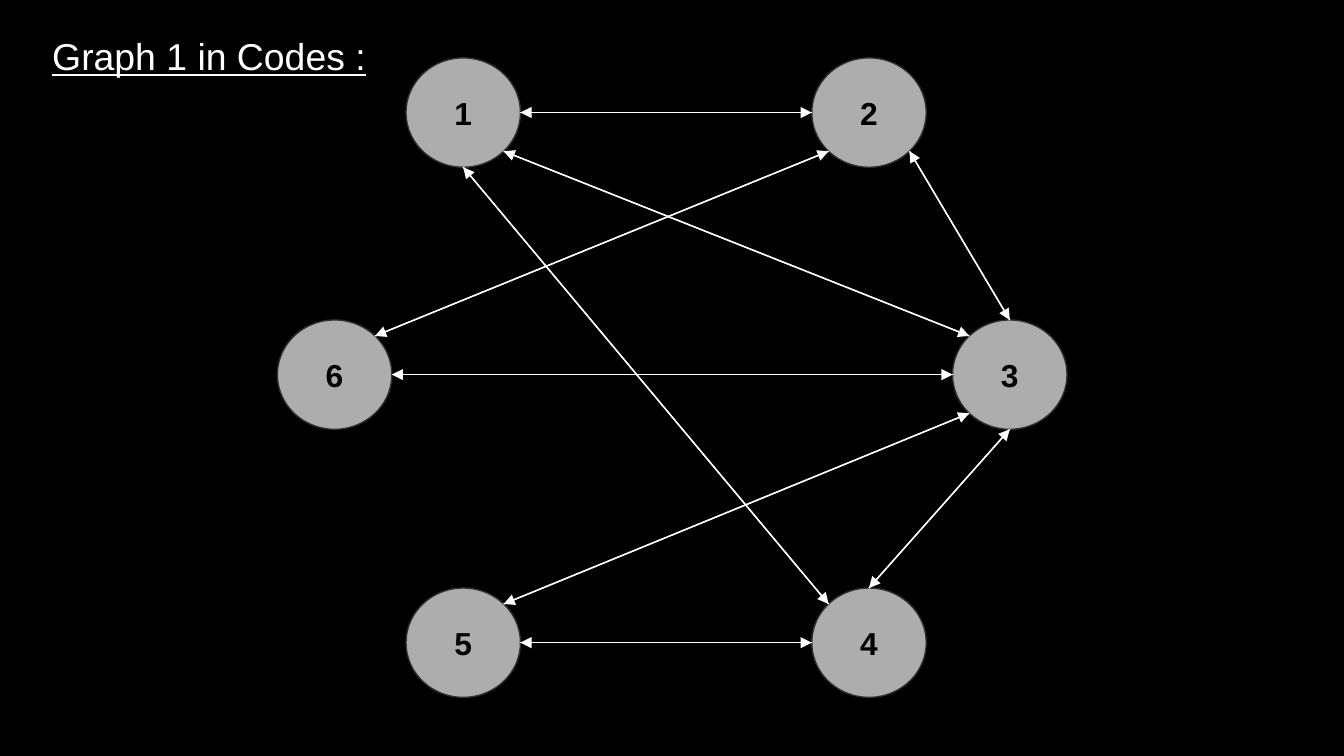
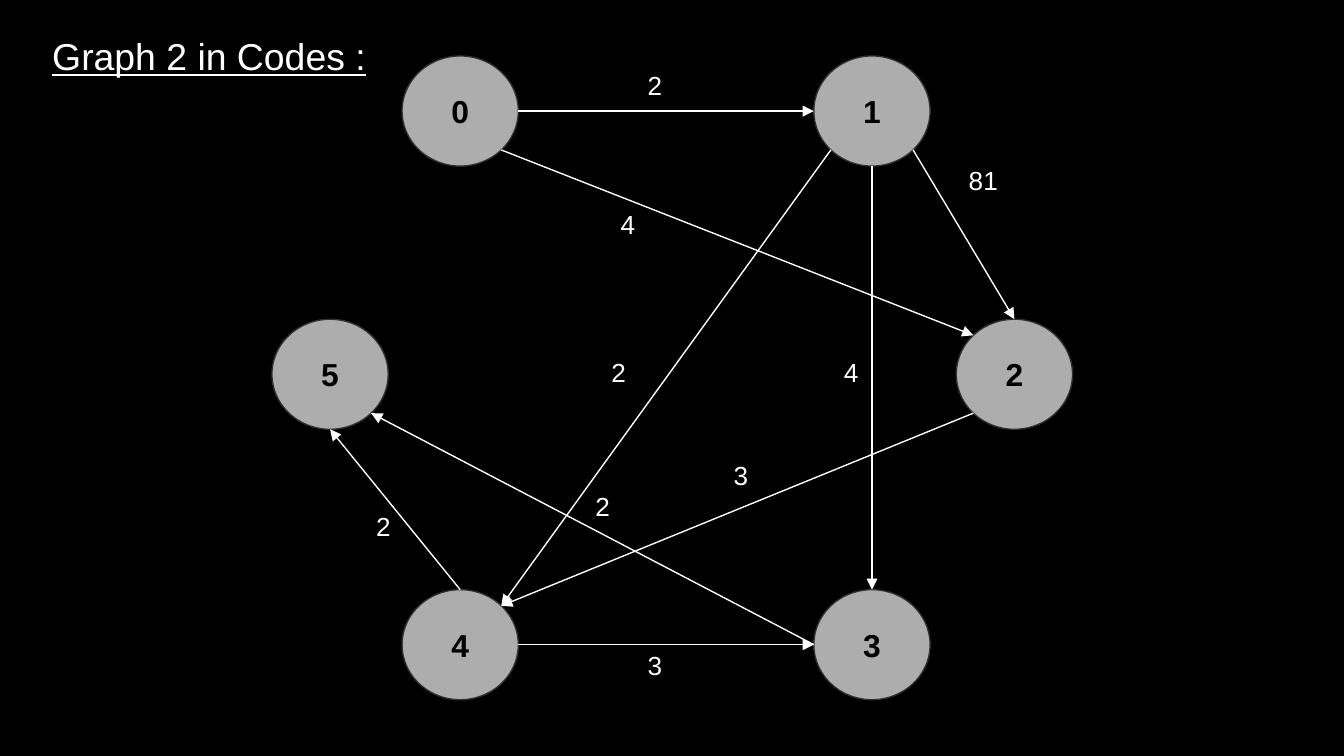
"""Build two slides that show graphs as nodes joined by arrows."""
from dataclasses import dataclass
from math import sqrt

from lxml import etree
from pptx import Presentation
from pptx.dml.color import RGBColor
from pptx.enum.shapes import MSO_CONNECTOR, MSO_SHAPE
from pptx.enum.text import MSO_ANCHOR, PP_ALIGN
from pptx.oxml.ns import qn
from pptx.util import Pt

BLACK = RGBColor(0x00, 0x00, 0x00)
WHITE = RGBColor(0xFF, 0xFF, 0xFF)
NODE_FILL = RGBColor(0xAD, 0xAD, 0xAD)
NODE_LINE = RGBColor(0x30, 0x30, 0x30)

OVAL = MSO_SHAPE.OVAL
STRAIGHT = MSO_CONNECTOR.STRAIGHT
MIDDLE = MSO_ANCHOR.MIDDLE
CENTER = PP_ALIGN.CENTER

FONT = "Arial"
LINE_WIDTH = 0.75
INSET = 7.2
TITLE_BOX = (20.9, 10.8, 270, 79.2)
LABEL_HEIGHT = 34.6

NEAR = 0.5 - sqrt(2) / 4
FAR = 1 - NEAR
SITES = {
    "N": (0.5, 0), "S": (0.5, 1), "W": (0, 0.5), "E": (1, 0.5),
    "NW": (NEAR, NEAR), "NE": (FAR, NEAR), "SW": (NEAR, FAR), "SE": (FAR, FAR),
}


@dataclass
class Graph:
    """A graph whose columns, rows and weights are offsets from its origin."""
    title: str
    origin: tuple
    node_size: tuple
    columns: tuple
    rows: tuple
    nodes: dict
    edges: list
    weights: list
    two_way: bool


FIRST_GRAPH = Graph(
    title="Graph 1 in Codes :",
    origin=(148.6, 31),
    node_size=(61.3, 58.6),
    columns=(0, 68.9, 286.3, 361.7),
    rows=(0, 140.4, 284),
    nodes={"1": (1, 0), "2": (2, 0), "3": (3, 1),
           "4": (2, 2), "5": (1, 2), "6": (0, 1)},
    edges=[
        ("1", "E", "2", "W"), ("1", "SE", "3", "NW"), ("1", "S", "4", "NW"),
        ("2", "SW", "6", "NE"), ("2", "SE", "3", "N"), ("3", "W", "6", "E"),
        ("3", "SW", "5", "NE"), ("3", "S", "4", "N"), ("4", "W", "5", "E"),
    ],
    weights=[],
    two_way=True,
)

SECOND_GRAPH = Graph(
    title="Graph 2 in Codes :",
    origin=(145.7, 30),
    node_size=(62.3, 59),
    columns=(0, 69.7, 290.3, 366.6),
    rows=(0, 141, 285.9),
    nodes={"0": (1, 0), "1": (2, 0), "2": (3, 1),
           "3": (2, 2), "4": (1, 2), "5": (0, 1)},
    edges=[
        ("0", "E", "1", "W"), ("0", "SE", "2", "NW"), ("1", "SE", "2", "N"),
        ("2", "SW", "4", "NE"), ("1", "S", "3", "N"), ("1", "SW", "4", "NE"),
        ("3", "W", "5", "SE"), ("4", "N", "5", "S"), ("4", "E", "3", "W"),
    ],
    weights=[
        ("2", 194.1, 0.2, 34.6), ("4", 179.7, 74.4, 34.6),
        ("81", 366.2, 50.6, 62.6), ("2", 174.7, 153.6, 34.6),
        ("4", 299.3, 153.6, 34.6), ("3", 240.2, 209, 34.6),
        ("2", 166.1, 225.6, 34.6), ("2", 48.7, 236.4, 34.6),
        ("3", 194.1, 310.6, 34.6),
    ],
    two_way=False,
)


def write_text(shape, text, size, color, bold=False, underline=False):
    """Write one styled run into a shape and return its paragraph."""
    frame = shape.text_frame
    frame.word_wrap = True
    frame.margin_left = frame.margin_right = Pt(INSET)
    frame.margin_top = frame.margin_bottom = Pt(INSET)
    para = frame.paragraphs[0]
    span = para.add_run()
    span.text = text
    span.font.name = FONT
    span.font.size = Pt(size)
    span.font.color.rgb = color
    span.font.bold = bold
    span.font.underline = underline
    return para


def add_label(page, box, text, size, underline=False):
    """Add white text in a box given as left, top, width and height."""
    label = page.shapes.add_textbox(*map(Pt, box))
    write_text(label, text, size, WHITE, underline=underline)


def add_node(page, box, name):
    """Add a grey oval with a bold name."""
    node = page.shapes.add_shape(OVAL, *map(Pt, box))
    node.shadow.inherit = False
    node.fill.solid()
    node.fill.fore_color.rgb = NODE_FILL
    node.line.color.rgb = NODE_LINE
    node.line.width = Pt(LINE_WIDTH)
    node.text_frame.vertical_anchor = MIDDLE
    write_text(node, name, 17, BLACK, bold=True).alignment = CENTER


def site_point(box, site):
    """Return the point on an oval's outline for a compass direction."""
    left, top, width, height = box
    across, down = SITES[site]
    return Pt(left + across * width), Pt(top + down * height)


def add_arrow(page, start, end):
    """Add a white line with an arrowhead at its end."""
    arrow = page.shapes.add_connector(STRAIGHT, *start, *end)
    arrow.line.color.rgb = WHITE
    arrow.line.width = Pt(LINE_WIDTH)
    head = etree.SubElement(arrow.line._get_or_add_ln(), qn("a:tailEnd"))
    head.set("type", "triangle")
    etree.SubElement(arrow._element.spPr, qn("a:effectLst"))


def add_diagram(page, graph):
    """Place nodes, arrows and weights relative to the graph's origin."""
    left, top = graph.origin
    boxes = {
        name: (left + graph.columns[column], top + graph.rows[row], *graph.node_size)
        for name, (column, row) in graph.nodes.items()
    }
    for name, box in boxes.items():
        add_node(page, box, name)
    for source, source_site, target, target_site in graph.edges:
        start = site_point(boxes[source], source_site)
        end = site_point(boxes[target], target_site)
        add_arrow(page, start, end)
        if graph.two_way:
            add_arrow(page, end, start)
    for text, x, y, width in graph.weights:
        add_label(page, (left + x, top + y, width, LABEL_HEIGHT), text, 14)


def add_graph_page(deck, graph):
    """Add a black slide with a graph and its title."""
    page = deck.slides.add_slide(deck.slide_layouts[6])
    page.background.fill.solid()
    page.background.fill.fore_color.rgb = BLACK
    add_diagram(page, graph)
    add_label(page, TITLE_BOX, graph.title, 20, underline=True)


def main():
    """Build and save the deck."""
    deck = Presentation()
    deck.slide_width, deck.slide_height = Pt(720), Pt(405)
    for graph in (FIRST_GRAPH, SECOND_GRAPH):
        add_graph_page(deck, graph)
    deck.save("out.pptx")


if __name__ == "__main__":
    main()
